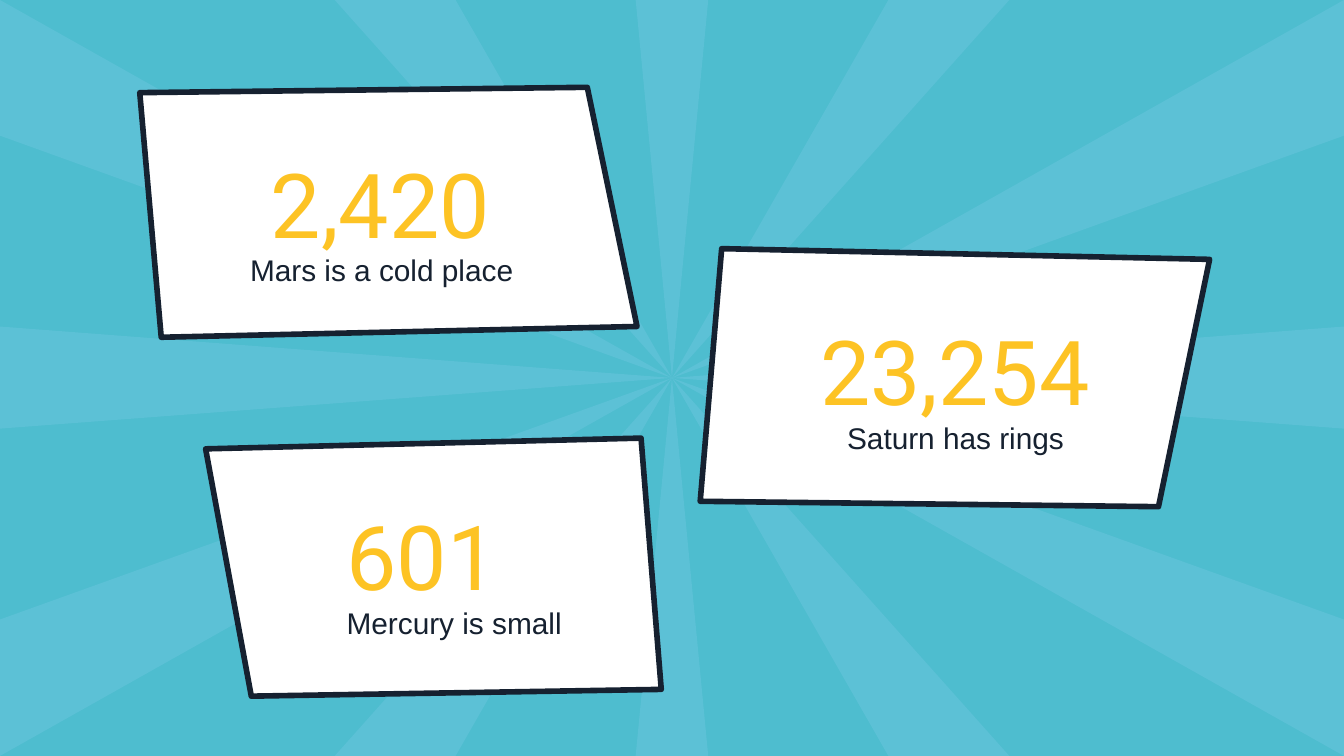
import pptx
import pptx.dml.color
import pptx.enum.text
import pptx.util
from pptx.util import Inches

SKY = pptx.dml.color.RGBColor(0x4E, 0xBD, 0xCF)
RAY = pptx.dml.color.RGBColor(0x5C, 0xC1, 0xD6)
WHITE = pptx.dml.color.RGBColor(0xFF, 0xFF, 0xFF)
INK = pptx.dml.color.RGBColor(0x16, 0x21, 0x30)
YELLOW = pptx.dml.color.RGBColor(0xFD, 0xC3, 0x24)

WIDTH, HEIGHT = 10, 5.625
CENTER = (WIDTH / 2, HEIGHT / 2)

deck = pptx.Presentation()
deck.slide_width = Inches(WIDTH)
deck.slide_height = Inches(HEIGHT)
slide = deck.slides.add_slide(deck.slide_layouts[6])
slide.background.fill.solid()
slide.background.fill.fore_color.rgb = SKY


def add_polygon(corners, color):
    points = [(Inches(x), Inches(y)) for x, y in corners]
    builder = slide.shapes.build_freeform(*points[0])
    builder.add_line_segments(points[1:], close=True)
    polygon = builder.convert_to_shape()
    polygon.shadow.inherit = False
    polygon.fill.solid()
    polygon.fill.fore_color.rgb = color
    polygon.line.fill.background()
    return polygon


def add_label(text, left, top, width, height, font, size, color, space_after):
    label = slide.shapes.add_textbox(
        Inches(left), Inches(top), Inches(width), Inches(height))
    frame = label.text_frame
    frame.word_wrap = True
    frame.vertical_anchor = pptx.enum.text.MSO_ANCHOR.TOP
    frame.margin_left = frame.margin_right = Inches(0.1)
    frame.margin_top = frame.margin_bottom = Inches(0.1)
    frame.text = text
    paragraph = frame.paragraphs[0]
    paragraph.alignment = pptx.enum.text.PP_ALIGN.CENTER
    paragraph.space_after = pptx.util.Pt(space_after)
    run_font = paragraph.runs[0].font
    run_font.name = font
    run_font.size = pptx.util.Pt(size)
    run_font.color.rgb = color


# Sunburst: rays from the center to the top and bottom edges
for edge in (0, HEIGHT):
    for start, end in ((2.49, 3.39), (4.73, 5.27), (6.61, 7.51)):
        add_polygon([CENTER, (start, edge), (end, edge)], RAY)

# Sunburst: rays from the center to the left and right edges
for edge in (0, WIDTH):
    for start, end in ((0, 1.01), (2.43, 3.19), (4.61, HEIGHT)):
        add_polygon([CENTER, (edge, start), (edge, end)], RAY)

# Slanted cards
cards = [
    [(4.92, 5.13), (4.77, 3.26), (1.53, 3.34), (1.87, 5.18)],
    [(5.21, 3.73), (5.37, 1.85), (9, 1.93), (8.62, 3.77)],
    [(1.04, 0.69), (1.2, 2.51), (4.74, 2.43), (4.37, 0.65)],
]
for corners in cards:
    card = add_polygon(corners, WHITE)
    card.line.color.rgb = INK
    card.line.width = pptx.util.Pt(3)

# Captions: text, left, top, width
captions = [
    ("Saturn has rings", 5.92, 3.02, 2.38),
    ("Mercury is small", 2.38, 4.4, 2),
    ("Mars is a cold place", 1.65, 1.77, 2.38),
]
for text, left, top, width in captions:
    add_label(text, left, top, width, 0.48, "Arial", 16, INK, 16)

# Big numbers: text, left, top, width
numbers = [
    ("2,420", 1.64, 1.01, 2.38),
    ("601", 1.95, 3.63, 2.38),
    ("23,254", 5.74, 2.25, 2.73),
]
for text, left, top, width in numbers:
    add_label(text, left, top, width, 0.79, "Roboto", 48, YELLOW, 0)

deck.save("out.pptx")
